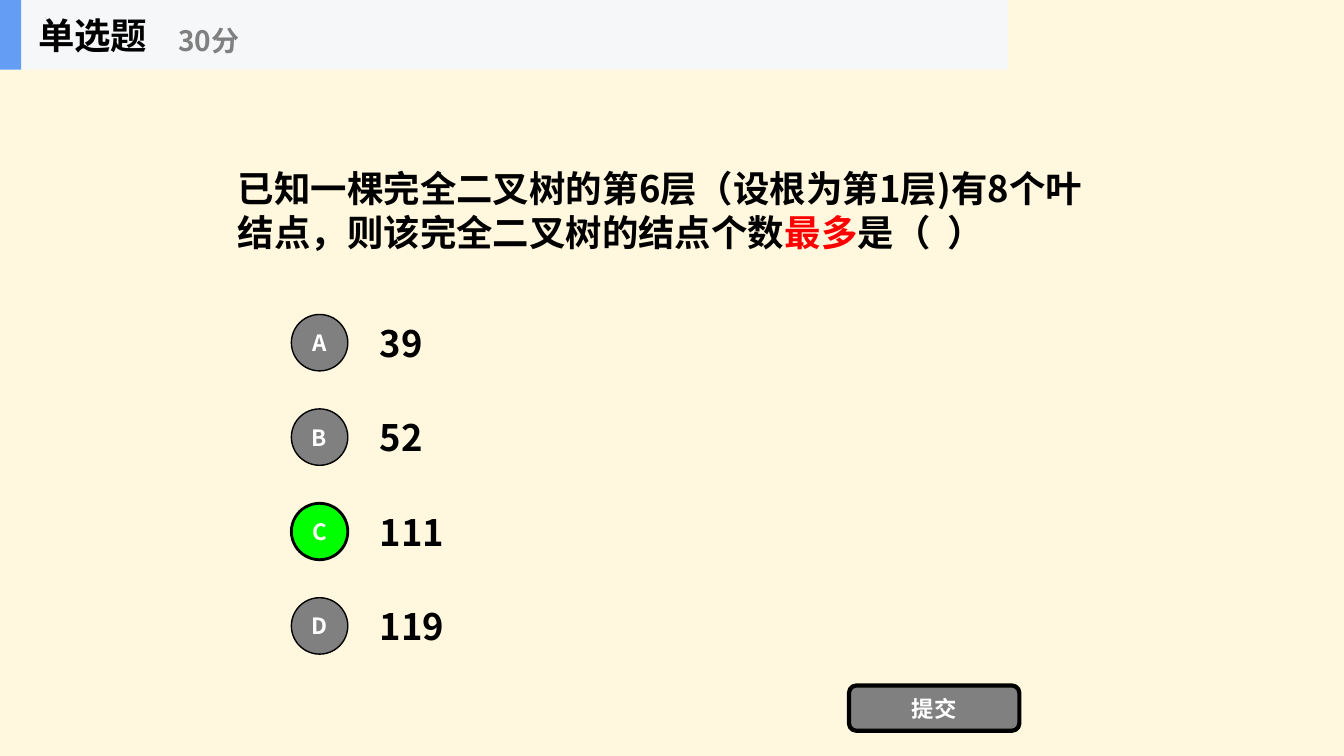
from dataclasses import dataclass

from lxml.etree import SubElement
from pptx import Presentation
from pptx.dml.color import RGBColor
from pptx.enum.shapes import MSO_SHAPE
from pptx.enum.text import MSO_ANCHOR, MSO_AUTO_SIZE, PP_ALIGN
from pptx.oxml.ns import qn
from pptx.util import Inches, Pt


@dataclass(frozen=True)
class Theme:
    """Colours, font and type sizes of the quiz slide."""
    font: str = "Noto Sans CJK SC"
    page: str = "FFF7DE"
    band: str = "F6F7F8"
    accent: str = "639EF4"
    ink: str = "000000"
    paper: str = "FFFFFF"
    grey: str = "808080"
    right: str = "00FF00"
    stress: str = "FF0000"
    body: int = 26
    points: int = 20
    label: int = 16


THEME = Theme()


def rgb(code):
    """Turn a hex code into a colour."""
    return RGBColor.from_string(code)


def write(sp, parts, size, color, align=PP_ALIGN.LEFT):
    """Fill a shape with one bold paragraph of (text, colour or None) parts."""
    tf = sp.text_frame
    tf.word_wrap = True
    tf.auto_size = MSO_AUTO_SIZE.NONE
    tf.vertical_anchor = MSO_ANCHOR.MIDDLE
    p = tf.paragraphs[0]
    p.alignment = align
    p.font.name = THEME.font
    p.font.size = Pt(size)
    p.font.bold = True
    p.font.color.rgb = rgb(color)
    SubElement(p._p.pPr.find(qn("a:defRPr")), qn("a:ea"), typeface=THEME.font)
    for text, own in parts:
        r = p.add_run()
        r.text = text
        if own:
            r.font.color.rgb = rgb(own)
    return p


def add_text(s, box, text, size, color):
    """Add a left-aligned text box."""
    sp = s.shapes.add_textbox(*map(Inches, box))
    write(sp, [(text, None)], size, color)


def add_block(s, kind, box, fill, line=0, text=""):
    """Add a filled shape with an optional outline and centred label."""
    sp = s.shapes.add_shape(kind, *map(Inches, box))
    sp.shadow.inherit = False
    sp.fill.solid()
    sp.fill.fore_color.rgb = rgb(fill)
    if line:
        sp.line.color.rgb = rgb(THEME.ink)
        sp.line.width = Pt(line)
    else:
        sp.line.fill.background()
    if text:
        write(sp, [(text, None)], THEME.label, THEME.paper, PP_ALIGN.CENTER)
    return sp


def add_question(s, box, parts):
    """Place the question in the title placeholder."""
    sp = s.shapes.title
    sp.left, sp.top, sp.width, sp.height = map(Inches, box)
    p = write(sp, parts, THEME.body, THEME.ink)
    p.line_spacing = 1.0


def add_options(s, box, answers, correct):
    """Stack lettered answers at equal steps down the box."""
    x, y, w, h = box
    row, dot, indent = 0.7, 0.56, 0.78
    step = (h - row) / (len(answers) - 1)
    for i, (letter, answer) in enumerate(answers.items()):
        top = y + i * step
        hit = letter == correct
        add_text(s, (x + indent, top, w - indent, row), answer, THEME.body, THEME.ink)
        sp = add_block(s, MSO_SHAPE.OVAL, (x, top + (row - dot) / 2, dot, dot),
                       THEME.right if hit else THEME.grey, 2 if hit else 1, letter)
        sp.text_frame.margin_left = sp.text_frame.margin_right = 0


def add_submit(s, box, text):
    """Add the rounded submit button."""
    add_block(s, MSO_SHAPE.ROUNDED_RECTANGLE, box, THEME.grey, 3, text)


def add_header(s, box, kind, points):
    """Add the top band with question type and points."""
    x, y, w, h = box
    add_block(s, MSO_SHAPE.RECTANGLE, box, THEME.band)
    add_block(s, MSO_SHAPE.RECTANGLE, (x, y, 0.21, h), THEME.accent)
    add_text(s, (x + 0.28, y, 2.08, h), kind, THEME.body, THEME.ink)
    add_text(s, (x + 1.67, y + 0.12, 2.5, h - 0.13), points, THEME.points, THEME.grey)


def main():
    """Build and save the quiz slide."""
    prs = Presentation()
    prs.slide_width, prs.slide_height = Inches(13.33), Inches(7.5)
    s = prs.slides.add_slide(prs.slide_layouts[5])
    s.background.fill.solid()
    s.background.fill.fore_color.rgb = rgb(THEME.page)
    add_question(s, (2.26, 0.91, 8.65, 2.34), [
        ("已知一棵完全二叉树的第6层（设根为第1层)有8个叶结点，则该完全二叉树的结点个数", None),
        ("最多", THEME.stress),
        ("是（  ）", None),
    ])
    add_options(s, (2.89, 3.05, 7.78, 3.51),
                {"A": "39", "B": "52", "C": "111", "D": "119"}, "C")
    add_submit(s, (8.42, 6.8, 1.69, 0.45), "提交")
    add_header(s, (0, 0, 10, 0.69), "单选题", "30分")
    prs.save("out.pptx")


if __name__ == "__main__":
    main()
